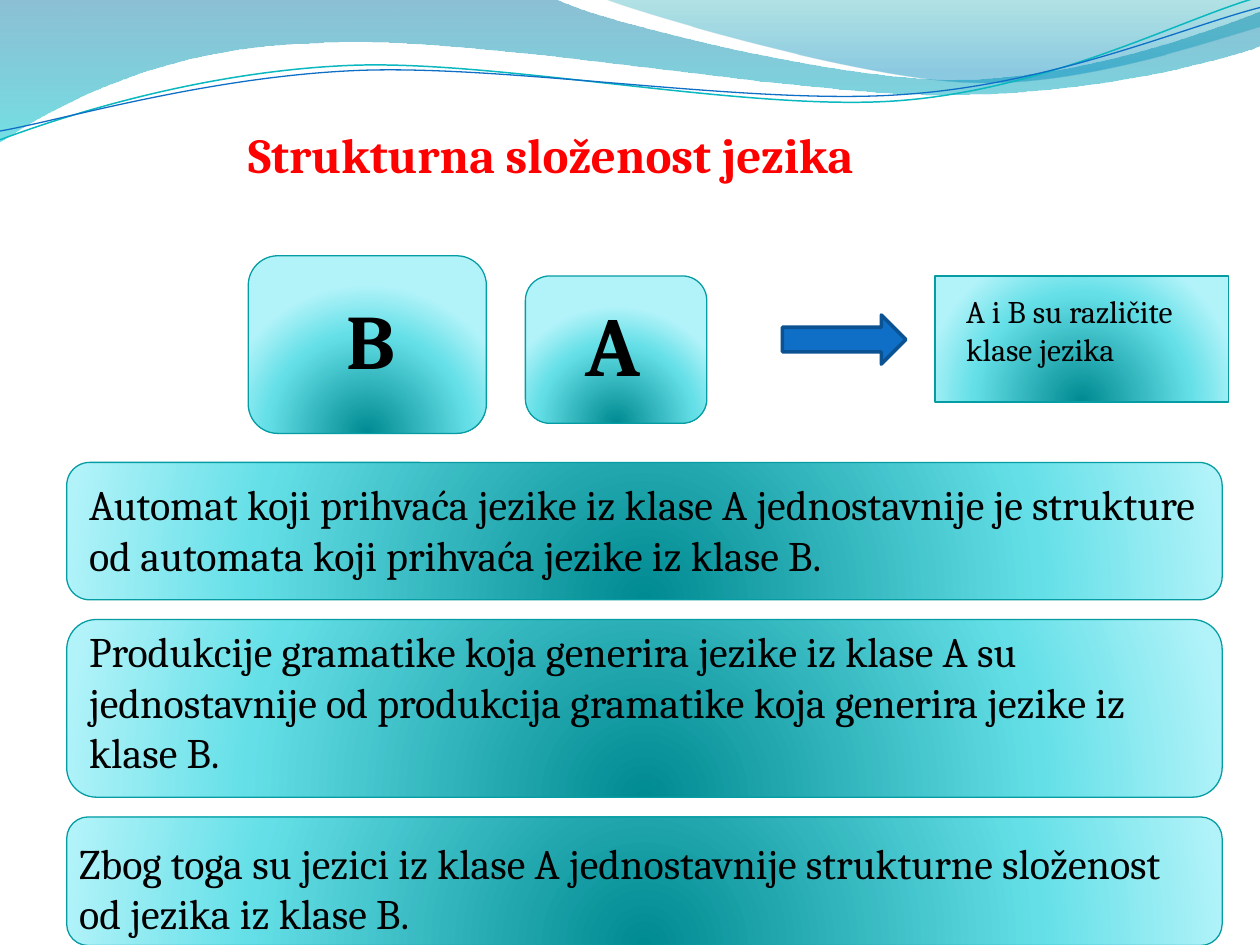
from pptx import Presentation
from pptx.dml.color import RGBColor
from pptx.enum.shapes import MSO_SHAPE
from pptx.enum.text import MSO_ANCHOR
from pptx.oxml import parse_xml
from pptx.oxml.ns import nsdecls, qn
from pptx.util import Inches, Pt

# Theme: colours, gradient stops (position, colour, opacity) and type sizes
THEME = {
    "font": "Cambria", "ink": "000000", "title": "FF0000",
    "card_line": "069CA3", "arrow": "0F6FC6", "arrow_line": "0B5292",
    "teal": "0AB8BF", "blue": "0F6FC6",
    "card": [(0, "008A91", 100), (68, "64DFE7", 100), (100, "B1F3F9", 100)],
    "wave": [(0, "0074A1", 45), (100, "00C6CF", 55)],
    "crest": [(0, "00A1A9", 30), (80, "008BBF", 45)],
    "sizes": {"title": 28, "body": 24, "note": 18, "B": 44, "A": 48},
}

# The slide is a grid of 100 columns by 75 rows
COLS, ROWS = 100, 75
SLIDE_W, SLIDE_H = Inches(10), Inches(7.5)

# Outlines: a start, then corners (x, y) or curves (two controls and an end)
WAVES = [
    ("wave", [(0, 0), (44, -0.1), (47.6, 1.7, 66.4, 6.3, 75.8, 6.3),
              (85.3, 6.3, 95.8, 2.6, 100, 0.9), (100.1, 3.6),
              (98.3, 4.4, 87, 7.6, 74.6, 7.5), (62.2, 7.5, 38.2, 2.8, 25.7, 3.4),
              (12.9, 3.6, 4.6, 8.3, -0.1, 11.3), (0, 0)]),
    ("crest", [(47.9, -0.1), (50.9, 1.1, 68.2, 6.2, 76.9, 6.5),
               (85.6, 6.9, 96.1, 3.2, 100, 2.1), (100, 0), (47.9, -0.1)]),
]
RIPPLES = [
    ("teal", 0.85, [(0, 11.1), (4.8, 9.3, 15.8, 5.7, 27.7, 5.2),
                    (39.5, 4.7, 59.3, 8.9, 71.3, 8), (83.3, 7.1, 93.8, 1.5, 99.8, -0.2)]),
    ("blue", 0.75, [(0, 10.4), (4.7, 9.6, 16.4, 6.1, 28.3, 5.6),
                    (40.3, 5.1, 59.7, 8.4, 71.7, 7.5), (83.6, 6.7, 94.1, 2.1, 100, 0.6)]),
]

TITLE = ("Strukturna složenost jezika", (18.7, 9.4, 70.9, 8.8))

# Top row: shape, its box, text, size name, text box
CARDS = [
    (MSO_SHAPE.ROUNDED_RECTANGLE, (19.7, 20.3, 18.9, 14.1), "B", "B", (26.5, 22.7, 12.9, 8.4)),
    (MSO_SHAPE.ROUNDED_RECTANGLE, (41.7, 21.9, 14.4, 11.7), "A", "A", (45.5, 22.7, 7.6, 9.1)),
    (MSO_SHAPE.RECTANGLE, (74.2, 21.9, 23.3, 10), "A i B su različite klase jezika",
     "note", (75.7, 22.7, 21.2, 10.1)),
]
ARROW = (62.1, 25, 9.8, 3.9)

# Stacked panels: height, text offset (columns, rows), text height, text
PANEL_X, PANEL_Y, PANEL_W, PANEL_GAP = 5.3, 36.7, 91.7, 1.57
PANELS = [
    (10.9, (0.8, 0.8), 15.1, "Automat koji prihvaća jezike iz klase A jednostavnije je "
                             "strukture od automata koji prihvaća jezike iz klase B."),
    (14.1, (0.8, 0), 16.2, "Produkcije gramatike koja generira jezike iz klase A su "
                           "jednostavnije od produkcija gramatike koja generira jezike iz klase B."),
    (10.2, (0, 1.1), 9.1, "Zbog toga su jezici iz klase A jednostavnije strukturne "
                          "složenost od jezika iz klase B."),
]

LINEAR = '<a:lin ang="5400000" scaled="0"/>'
GLOW = ('<a:path path="circle"><a:fillToRect l="50000" t="130000" '
        'r="50000" b="-30000"/></a:path>')


def rgb(name):
    return RGBColor.from_string(THEME[name])


def emu(x, y):
    return round(x * SLIDE_W / COLS), round(y * SLIDE_H / ROWS)


def place(box):
    return *emu(*box[:2]), *emu(*box[2:])


def fill_gradient(sp, name, direction):
    stops = "".join(
        f'<a:gs pos="{pos * 1000}"><a:srgbClr val="{color}">'
        f'<a:alpha val="{alpha * 1000}"/></a:srgbClr></a:gs>'
        for pos, color, alpha in THEME[name])
    sp.fill.background()
    sp_pr = sp.element.spPr
    sp_pr.replace(sp_pr.find(qn("a:noFill")), parse_xml(
        f'<a:gradFill {nsdecls("a")} rotWithShape="1">'
        f'<a:gsLst>{stops}</a:gsLst>{direction}</a:gradFill>'))


def add_outline(s, outline, close):
    start, *parts = outline
    points = [emu(*part[i:i + 2]) for part in parts for i in range(0, len(part), 2)]
    builder = s.shapes.build_freeform(*emu(*start))
    builder.add_line_segments(points, close=close)
    sp = builder.convert_to_shape()
    sp.shadow.inherit = False
    # Join each curve's three points into one cubic segment
    segments = iter(list(sp.element.spPr.iter(qn("a:lnTo"))))
    for part in parts:
        group = [next(segments) for _ in range(len(part) // 2)]
        if len(group) == 3:
            curve = parse_xml(f'<a:cubicBezTo {nsdecls("a")}/>')
            group[0].addprevious(curve)
            for segment in group:
                curve.append(segment[0])
                segment.getparent().remove(segment)
    return sp


def add_card(s, kind, box):
    sp = s.shapes.add_shape(kind, *place(box))
    sp.shadow.inherit = False
    fill_gradient(sp, "card", GLOW)
    sp.line.color.rgb = rgb("card_line")
    sp.line.width = Pt(0.75)


def add_text(s, text, box, size, color="ink", bold=False):
    tf = s.shapes.add_textbox(*place(box)).text_frame
    tf.word_wrap = True
    tf.vertical_anchor = MSO_ANCHOR.TOP
    p = tf.paragraphs[0]
    p.text = text
    p.font.name = THEME["font"]
    p.font.size = Pt(THEME["sizes"][size])
    p.font.bold = bold
    p.font.color.rgb = rgb(color)


def main():
    prs = Presentation()
    prs.slide_width, prs.slide_height = SLIDE_W, SLIDE_H
    s = prs.slides.add_slide(prs.slide_layouts[6])

    # Wave header
    for name, outline in WAVES:
        sp = add_outline(s, outline, close=True)
        fill_gradient(sp, name, LINEAR)
        sp.line.fill.background()
    for color, width, outline in RIPPLES:
        sp = add_outline(s, outline, close=False)
        sp.fill.background()
        sp.line.color.rgb = rgb(color)
        sp.line.width = Pt(width)

    add_text(s, *TITLE, "title", "title", bold=True)

    # Language classes, arrow and conclusion
    for kind, box, text, size, text_box in CARDS:
        add_card(s, kind, box)
        add_text(s, text, text_box, size, bold=size != "note")
    arrow = s.shapes.add_shape(MSO_SHAPE.RIGHT_ARROW, *place(ARROW))
    arrow.shadow.inherit = False
    arrow.fill.solid()
    arrow.fill.fore_color.rgb = rgb("arrow")
    arrow.line.color.rgb = rgb("arrow_line")
    arrow.line.width = Pt(2)

    # Statement panels
    y = PANEL_Y
    for height, (dx, dy), text_height, text in PANELS:
        add_card(s, MSO_SHAPE.ROUNDED_RECTANGLE, (PANEL_X, y, PANEL_W, height))
        add_text(s, text, (PANEL_X + dx, y + dy, PANEL_W, text_height), "body")
        y += height + PANEL_GAP

    prs.save("out.pptx")


if __name__ == "__main__":
    main()
